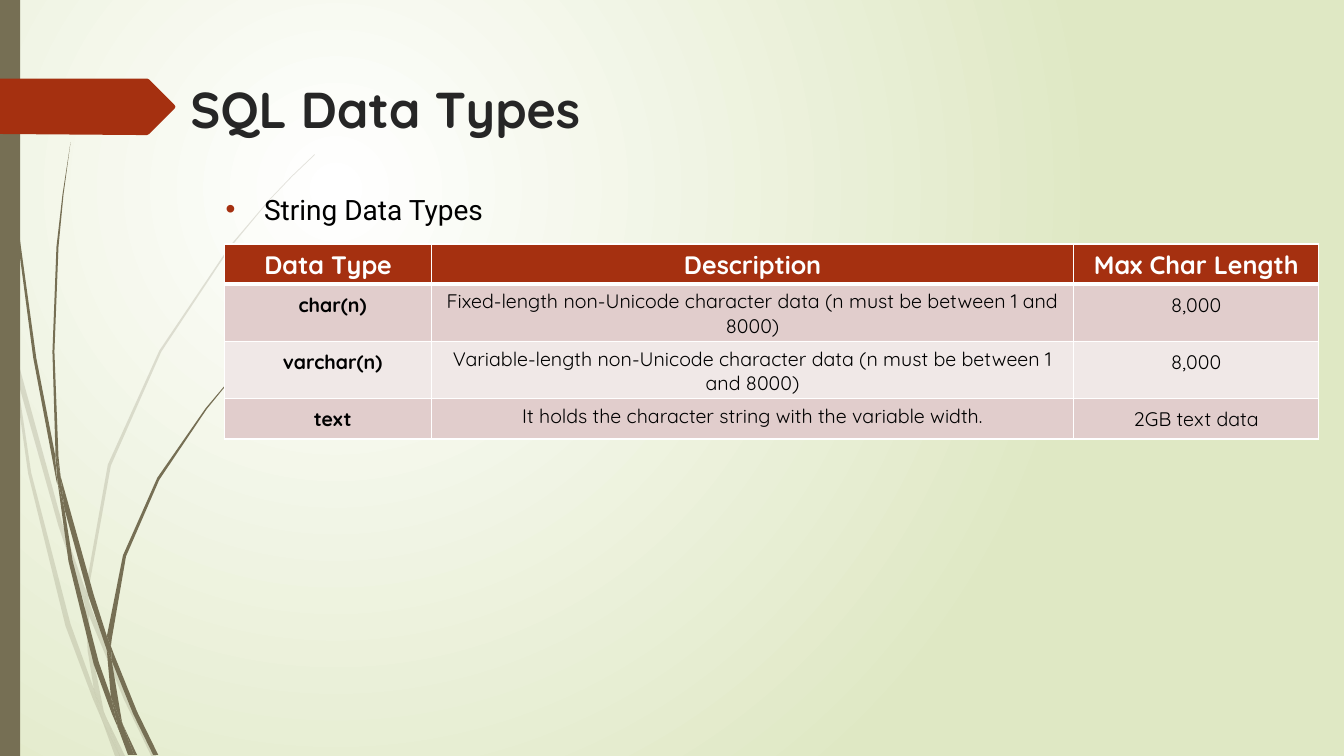
from dataclasses import dataclass
from typing import Any

from lxml.etree import SubElement
from pptx import Presentation
from pptx.dml.color import RGBColor
from pptx.enum.shapes import MSO_SHAPE
from pptx.enum.text import MSO_ANCHOR, PP_ALIGN
from pptx.oxml.ns import qn
from pptx.util import Emu, Pt

PX = 9144
Points = tuple[tuple[int, int], ...]


@dataclass(frozen=True)
class Theme:
    olive: str = "766F54"
    rust: str = "A53010"
    glow: str = "FFFFFF"
    meadow: str = "DFE8C4"
    heading: str = "262626"
    ink: str = "000000"
    white: str = "FFFFFF"
    bands: tuple[str, str] = ("E1CDCC", "F0E8E7")
    display: str = "Quicksand"
    plain: str = "Roboto"
    title_size: int = 36
    body_size: int = 20
    header_size: int = 18
    cell_size: int = 14


@dataclass(frozen=True)
class Box:
    left: int
    top: int
    width: int
    height: int

    def emu(self) -> tuple[Emu, ...]:
        return tuple(px(v) for v in (self.left, self.top, self.width, self.height))


@dataclass(frozen=True)
class Strand:
    color: str
    opacity: int
    blades: tuple[Points, ...]


@dataclass(frozen=True)
class Column:
    title: str
    width: int
    entries: tuple[str, ...]
    bold: bool
    insets: tuple[int, int, int, int]


THEME = Theme()

FAINT_GRASS = Strand(THEME.olive, 20, (
    ((11, 350), (9, 322), (0, 282), (0, 299), (10, 344)),
    ((58, 522), (84, 599), (85, 586), (62, 520), (14, 345), (17, 376)),
    ((92, 607), (88, 596), (88, 610), (123, 694), (150, 750), (155, 750), (127, 692)),
    ((119, 750), (124, 750), (105, 711)),
    ((93, 683), (70, 619), (31, 469), (17, 376), (11, 350), (28, 470), (65, 621),
     (92, 693), (101, 714), (99, 707)),
    ((84, 599), (87, 646), (93, 683), (96, 692), (105, 711), (103, 706), (91, 646),
     (88, 610), (88, 608)),
    ((88, 584), (110, 462), (160, 349), (229, 245), (268, 198), (290, 175), (312, 154),
     (312, 153), (289, 175), (268, 197), (228, 244), (158, 348), (107, 461), (85, 584),
     (85, 586), (88, 596)),
    ((101, 714), (114, 750), (119, 750)),
    ((88, 608), (88, 610), (88, 596), (85, 586), (84, 599)),
    ((96, 692), (93, 683), (99, 707), (101, 714), (119, 750), (105, 711)),
))

DARK_GRASS = Strand(THEME.olive, 100, (
    ((7, 110), (17, 233), (33, 355), (56, 477), (57, 481), (55, 457), (55, 453),
     (36, 355), (19, 232), (8, 109), (5, 48), (4, 0), (3, 0), (4, 48)),
    ((88, 592), (106, 645), (106, 633), (106, 631), (93, 590), (60, 472), (64, 505)),
    ((113, 649), (110, 641), (111, 656), (132, 708), (152, 749), (157, 749), (136, 706)),
    ((110, 691), (98, 657), (72, 556), (64, 505), (57, 477), (68, 557), (93, 659),
     (111, 708), (117, 722), (116, 717)),
    ((60, 472), (58, 453), (54, 349), (58, 245), (63, 193), (70, 141), (62, 193),
     (56, 245), (52, 349), (55, 449)),
    ((133, 749), (136, 749), (122, 719)),
    ((57, 477), (64, 505), (60, 472), (55, 449), (55, 453)),
    ((111, 633), (125, 552), (158, 476), (205, 406), (231, 374), (245, 359), (261, 344),
     (260, 344), (245, 358), (231, 373), (204, 405), (156, 474), (122, 551), (106, 631),
     (110, 641)),
    ((117, 722), (127, 749), (131, 749)),
    ((106, 645), (110, 691), (116, 706), (122, 719), (121, 716), (111, 656), (109, 651)),
    ((106, 645), (109, 651), (111, 656), (110, 641), (106, 631), (106, 633)),
    ((116, 706), (110, 691), (116, 717), (117, 722), (130, 749), (133, 749), (122, 719)),
))

TITLE_ARROW = Strand(THEME.rust, 100, (
    ((0, 78), (146, 78), (148, 79), (173, 104), (174, 106), (173, 108), (148, 133),
     (146, 134), (136, 134), (0, 133)),
))

SIDE_BAR = Box(0, 0, 20, 750)
TITLE_BOX = Box(179, 73, 975, 85)
BODY_BOX = Box(214, 186, 1095, 647)
TABLE_BOX = Box(223, 242, 1085, 193)
ROW_HEIGHT = 40
HEADER_INSETS = (10, 5, 10, 5)

COLUMNS = (
    Column("Data Type", 205, ("char(n)", "varchar(n)", "text"), True, (17, 8, 8, 8)),
    Column("Description", 637, (
        "Fixed-length non-Unicode character data (n must be between 1 and 8000)",
        "Variable-length non-Unicode character data (n must be between 1 and 8000)",
        "It holds the character string with the variable width.",
    ), False, HEADER_INSETS),
    Column("Max Char Length", 243, ("8,000", "8,000", "2GB text data"), False, (8, 8, 8, 8)),
)


def px(value: int) -> Emu:
    return Emu(value * PX)


def assign(target: Any, values: dict[str, Any]) -> None:
    for key, value in values.items():
        setattr(target, key, value)


def paint(shape: Any, color: str) -> None:
    shape.fill.solid()
    shape.fill.fore_color.rgb = RGBColor.from_string(color)
    shape.line.fill.background()
    shape.shadow.inherit = False


def write(paragraph: Any, text: str, color: str, font: dict[str, Any]) -> None:
    run = paragraph.add_run()
    run.text = text
    assign(run.font, font)
    run.font.color.rgb = RGBColor.from_string(color)


def draw_background(slide: Any) -> None:
    fill = slide.background.fill
    fill.gradient()
    for stop, color in zip(fill.gradient_stops, (THEME.glow, THEME.meadow)):
        stop.color.rgb = RGBColor.from_string(color)
    gradient = slide.element.find(".//" + qn("a:gradFill"))
    gradient.remove(gradient.find(qn("a:lin")))
    radial = SubElement(gradient, qn("a:path"), path="circle")
    SubElement(radial, qn("a:fillToRect"), l="50000", t="50000", r="100000", b="100000")


def draw_strand(slide: Any, strand: Strand) -> None:
    for start, *rest in strand.blades:
        builder = slide.shapes.build_freeform(*start, scale=PX)
        builder.add_line_segments(rest, close=True)
        blade = builder.convert_to_shape()
        paint(blade, strand.color)
        if strand.opacity < 100:
            tint = blade.element.spPr.find(qn("a:solidFill"))[0]
            SubElement(tint, qn("a:alpha"), val=str(strand.opacity * 1000))


def add_paragraph_box(slide: Any, box: Box) -> Any:
    frame = slide.shapes.add_textbox(*box.emu()).text_frame
    assign(frame, {"word_wrap": True, "vertical_anchor": MSO_ANCHOR.TOP})
    return frame.paragraphs[0]


def add_bullet(paragraph: Any, color: str) -> None:
    paragraph.space_before = Pt(10)
    properties = paragraph._p.get_or_add_pPr()
    properties.set("marL", str(px(38)))
    properties.set("indent", str(px(-38)))
    SubElement(SubElement(properties, qn("a:buClr")), qn("a:srgbClr"), val=color)
    SubElement(properties, qn("a:buFont"), typeface="Arial")
    SubElement(properties, qn("a:buChar"), char="•")


def fill_cell(cell: Any, text: str, row: int, column: Column) -> None:
    header = row == 0
    widths = {"L": 1, "R": 1, "T": 3 if row == 1 else 1, "B": 3 if header else 1}
    for side, width in widths.items():
        edge = SubElement(cell._tc.get_or_add_tcPr(), qn(f"a:ln{side}"), w=str(Pt(width)))
        SubElement(SubElement(edge, qn("a:solidFill")), qn("a:srgbClr"), val=THEME.white)
    cell.fill.solid()
    cell.fill.fore_color.rgb = RGBColor.from_string(
        THEME.rust if header else THEME.bands[(row - 1) % 2])
    sides = ("margin_left", "margin_top", "margin_right", "margin_bottom")
    insets = HEADER_INSETS if header else column.insets
    assign(cell, dict(zip(sides, map(px, insets))))
    cell.vertical_anchor = MSO_ANCHOR.TOP
    paragraph = cell.text_frame.paragraphs[0]
    paragraph.alignment = PP_ALIGN.CENTER
    write(paragraph, text, THEME.white if header else THEME.ink, {
        "name": THEME.display,
        "size": Pt(THEME.header_size if header else THEME.cell_size),
        "bold": header or column.bold,
    })


def draw_table(slide: Any) -> None:
    row_count = len(COLUMNS[0].entries) + 1
    frame = slide.shapes.add_table(row_count, len(COLUMNS), *TABLE_BOX.emu())
    for row in frame.table.rows:
        row.height = px(ROW_HEIGHT)
    for index, column in enumerate(COLUMNS):
        frame.table.columns[index].width = px(column.width)
        for row, text in enumerate((column.title, *column.entries)):
            fill_cell(frame.table.cell(row, index), text, row, column)
    frame.height = px(TABLE_BOX.height)


def main() -> None:
    deck = Presentation()
    assign(deck, {"slide_width": px(1333), "slide_height": px(750)})
    slide = deck.slides.add_slide(deck.slide_layouts[6])
    draw_background(slide)
    draw_strand(slide, FAINT_GRASS)
    draw_strand(slide, DARK_GRASS)
    paint(slide.shapes.add_shape(MSO_SHAPE.RECTANGLE, *SIDE_BAR.emu()), THEME.olive)
    draw_strand(slide, TITLE_ARROW)
    write(add_paragraph_box(slide, TITLE_BOX), "SQL Data Types", THEME.heading,
          {"name": THEME.display, "size": Pt(THEME.title_size), "bold": True})
    topic = add_paragraph_box(slide, BODY_BOX)
    add_bullet(topic, THEME.rust)
    write(topic, "String Data Types", THEME.ink,
          {"name": THEME.plain, "size": Pt(THEME.body_size)})
    draw_table(slide)
    deck.save("out.pptx")


if __name__ == "__main__":
    main()
